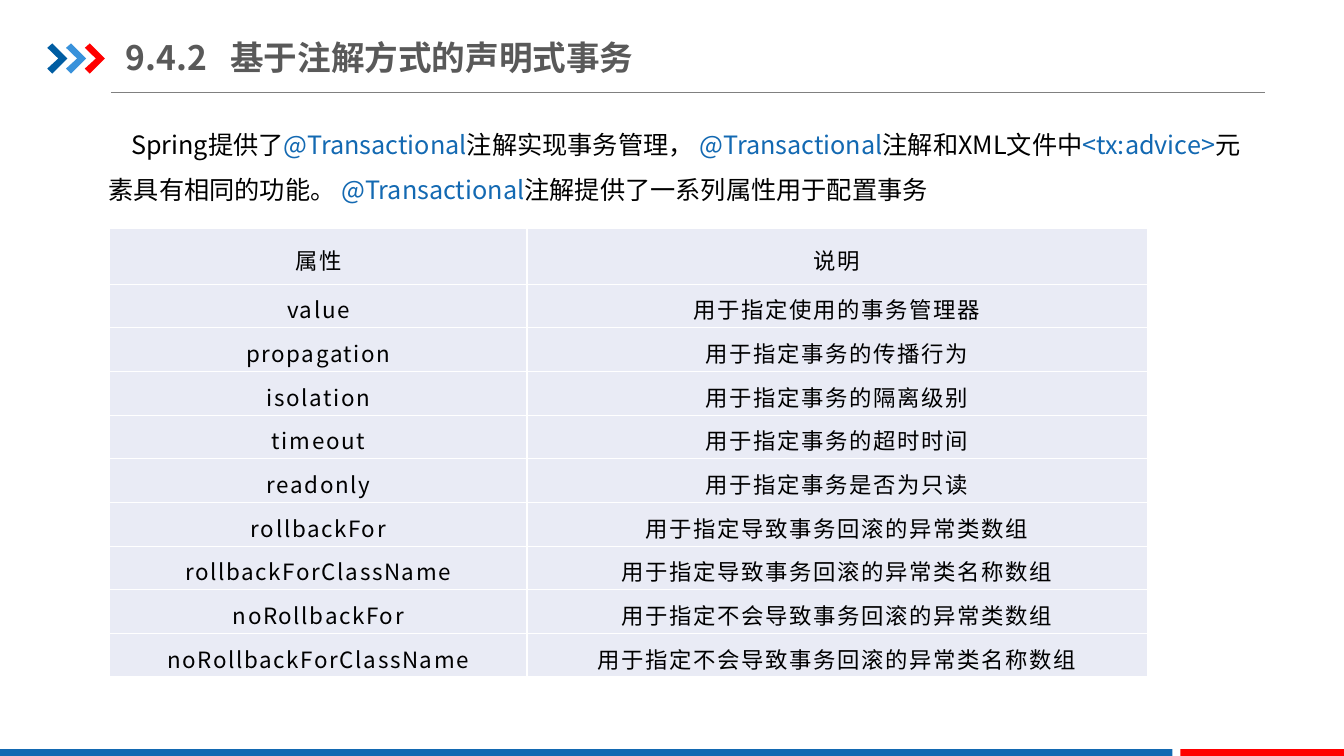
from lxml.etree import SubElement
from pptx import Presentation
from pptx.dml.color import RGBColor
from pptx.enum.shapes import MSO_CONNECTOR, MSO_SHAPE
from pptx.enum.text import MSO_ANCHOR, MSO_AUTO_SIZE, PP_ALIGN
from pptx.oxml.ns import qn
from pptx.util import Pt

FONT = "Noto Sans CJK SC"
COLORS = {"navy": "005DA2", "sky": "3992DB", "red": "FF0000", "blue": "1369B2",
          "gray": "595959", "rule": "808080", "black": "000000",
          "cell": "E9EBF5", "white": "FFFFFF"}

TITLE = "9.4.2\t基于注解方式的声明式事务"
INTRO = [
    ("Spring提供了", "black"),
    ("@Transactional", "blue"),
    ("注解实现事务管理，", "black"),
    (" @Transactional", "blue"),
    ("注解和XML文件中", "black"),
    ("<tx:advice>", "blue"),
    ("元素具有相同的功能。", "black"),
    (" @Transactional", "blue"),
    ("注解提供了一系列属性用于配置事务", "black"),
]
ATTRIBUTES = [
    ("属性", "说明"),
    ("value", "用于指定使用的事务管理器"),
    ("propagation", "用于指定事务的传播行为"),
    ("isolation", "用于指定事务的隔离级别"),
    ("timeout", "用于指定事务的超时时间"),
    ("readonly", "用于指定事务是否为只读"),
    ("rollbackFor", "用于指定导致事务回滚的异常类数组"),
    ("rollbackForClassName", "用于指定导致事务回滚的异常类名称数组"),
    ("noRollbackFor", "用于指定不会导致事务回滚的异常类数组"),
    ("noRollbackForClassName", "用于指定不会导致事务回滚的异常类名称数组"),
]
COL_WIDTHS = (298, 443)
HEADER_HEIGHT, ROW_HEIGHT = 39.6, 31.2

CHEVRON = [(0, 3.2), (3.6, 0), (14.4, 10.8), (3.6, 21.6), (0, 18), (7.9, 10.8)]
CHEVRON_LEFT, CHEVRON_TOP, CHEVRON_STEP = 33.8, 31, 13.4
FOOTER_BARS = [(0, 837.4, "blue"), (843.1, 116.9, "red")]


def rgb(name):
    return RGBColor.from_string(COLORS[name])


def style(r, size, color, bold=False):
    r.font.size = Pt(size)
    r.font.bold = bold
    r.font.color.rgb = rgb(color)
    r.font.name = FONT
    SubElement(r.font._element, qn("a:ea"), typeface=FONT)


def paint(sp, color):
    sp.shadow.inherit = False
    sp.fill.solid()
    sp.fill.fore_color.rgb = rgb(color)
    sp.line.fill.background()


def add_decoration(s):
    line = s.shapes.add_connector(MSO_CONNECTOR.STRAIGHT, Pt(79.2), Pt(65.8), Pt(903.6), Pt(65.8))
    line.line.color.rgb = rgb("rule")
    line.line.width = Pt(0.5)
    SubElement(line._element.spPr, qn("a:effectLst"))
    for i, color in enumerate(("navy", "sky", "red")):
        left = CHEVRON_LEFT + i * CHEVRON_STEP
        points = [(Pt(left + x), Pt(CHEVRON_TOP + y)) for x, y in CHEVRON]
        builder = s.shapes.build_freeform(*points[0])
        builder.add_line_segments(points[1:], close=True)
        paint(builder.convert_to_shape(), color)
    for left, width, color in FOOTER_BARS:
        bar = s.shapes.add_shape(MSO_SHAPE.RECTANGLE, Pt(left), Pt(535), Pt(width), Pt(6.5))
        paint(bar, color)


def add_title(s):
    sp = s.shapes.title
    sp.left, sp.top, sp.width, sp.height = Pt(90), Pt(21), Pt(382), Pt(39.6)
    tf = sp.text_frame
    tf.text = TITLE
    tf.auto_size = MSO_AUTO_SIZE.NONE
    tf.vertical_anchor = MSO_ANCHOR.MIDDLE
    tf.margin_left = tf.margin_right = 0
    tf.margin_top = tf.margin_bottom = Pt(5)
    p = tf.paragraphs[0]
    p.alignment = PP_ALIGN.LEFT
    tabs = SubElement(p._p.get_or_add_pPr(), qn("a:tabLst"))
    SubElement(tabs, qn("a:tab"), pos=str(Pt(74.5)), algn="l")
    style(p.runs[0], 24, "gray", bold=True)


def add_intro(s):
    sp = s.shapes.add_textbox(Pt(70.6), Pt(77.8), Pt(830), Pt(72.7))
    tf = sp.text_frame
    tf.word_wrap = True
    p = tf.paragraphs[0]
    p.line_spacing = 1.5
    p._p.get_or_add_pPr().set("indent", str(Pt(16)))
    for text, color in INTRO:
        r = p.add_run()
        r.text = text
        style(r, 18, color)


def add_borders(cell):
    tcPr = cell._tc.get_or_add_tcPr()
    for side in ("lnL", "lnR", "lnT", "lnB"):
        ln = SubElement(tcPr, qn("a:" + side), w=str(Pt(1)))
        fill = SubElement(ln, qn("a:solidFill"))
        SubElement(fill, qn("a:srgbClr"), val=COLORS["white"])


def fill_cell(cell, text):
    add_borders(cell)
    cell.fill.solid()
    cell.fill.fore_color.rgb = rgb("cell")
    cell.vertical_anchor = MSO_ANCHOR.MIDDLE
    cell.margin_left = cell.margin_right = Pt(13.7)
    cell.margin_top = cell.margin_bottom = 0
    cell.text_frame.text = text
    p = cell.text_frame.paragraphs[0]
    p.alignment = PP_ALIGN.CENTER
    p.line_spacing = 1.2
    r = p.runs[0]
    style(r, 16, "black")
    r.font._element.set("spc", "120")


def add_attribute_table(s):
    heights = [HEADER_HEIGHT] + [ROW_HEIGHT] * (len(ATTRIBUTES) - 1)
    frame = s.shapes.add_table(len(ATTRIBUTES), len(COL_WIDTHS), Pt(78.5), Pt(163.4),
                               Pt(sum(COL_WIDTHS)), Pt(sum(heights)))
    table = frame.table
    table.first_row = table.horz_banding = False
    for column, width in zip(table.columns, COL_WIDTHS):
        column.width = Pt(width)
    for i, texts in enumerate(ATTRIBUTES):
        table.rows[i].height = Pt(heights[i])
        for j, text in enumerate(texts):
            fill_cell(table.cell(i, j), text)


def main():
    prs = Presentation()
    prs.slide_width, prs.slide_height = Pt(960), Pt(540)
    s = prs.slides.add_slide(prs.slide_layouts[5])
    add_decoration(s)
    add_title(s)
    add_intro(s)
    add_attribute_table(s)
    prs.save("out.pptx")


if __name__ == "__main__":
    main()
